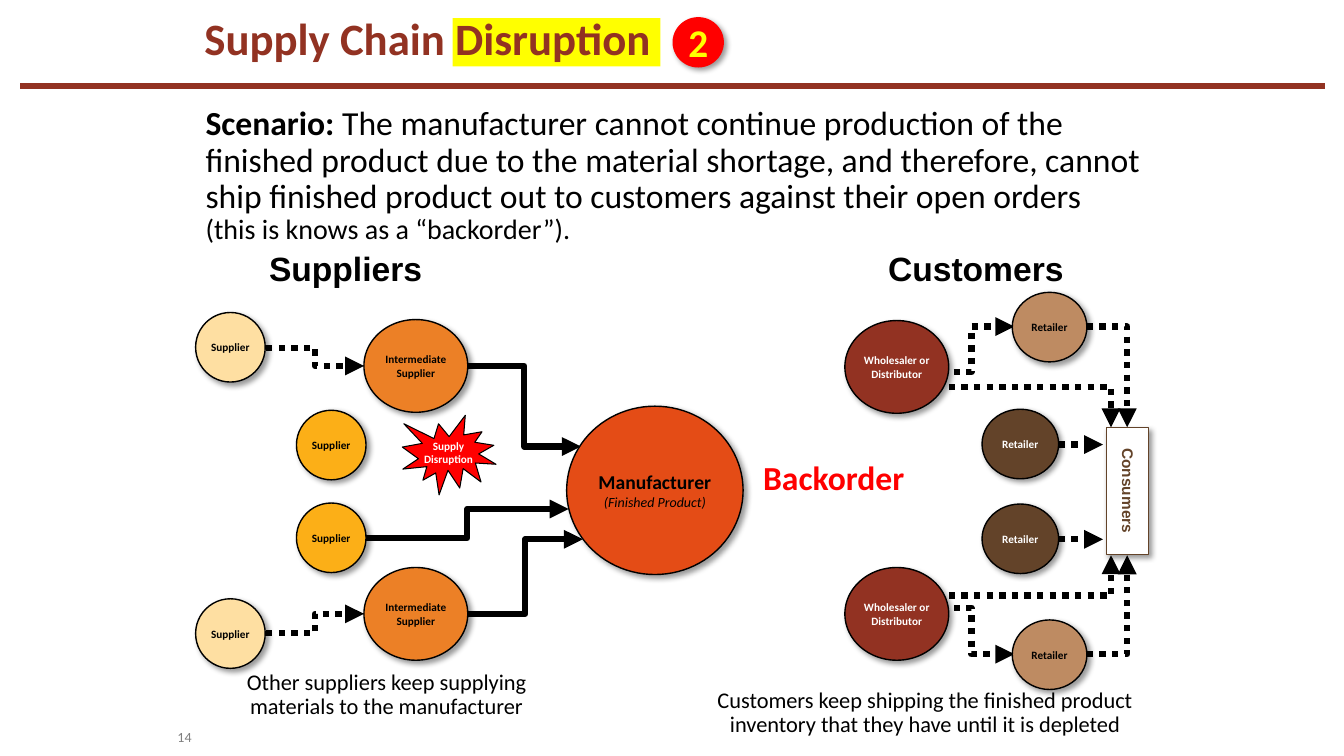
from lxml import etree
from pptx import Presentation
from pptx.dml.color import RGBColor
from pptx.enum.dml import MSO_LINE
from pptx.enum.shapes import MSO_CONNECTOR, MSO_SHAPE
from pptx.enum.text import MSO_ANCHOR, MSO_AUTO_SIZE, PP_ALIGN
from pptx.oxml.ns import qn
from pptx.util import Inches, Pt

BLACK = RGBColor(0x00, 0x00, 0x00)
WHITE = RGBColor(0xFF, 0xFF, 0xFF)
RED = RGBColor(0xFF, 0x00, 0x00)
YELLOW = RGBColor(0xFF, 0xFF, 0x00)
GREY = RGBColor(0x7F, 0x7F, 0x7F)
BRICK = RGBColor(0x92, 0x32, 0x22)
CREAM = RGBColor(0xFE, 0xDF, 0xA2)
AMBER = RGBColor(0xFC, 0xAF, 0x17)
ORANGE = RGBColor(0xEC, 0x80, 0x26)
FLAME = RGBColor(0xE4, 0x4C, 0x16)
TAN = RGBColor(0xBE, 0x8B, 0x62)
BROWN = RGBColor(0x63, 0x43, 0x29)

OVAL, RECT, BURST = MSO_SHAPE.OVAL, MSO_SHAPE.RECTANGLE, MSO_SHAPE.EXPLOSION1
STRAIGHT, ELBOW = MSO_CONNECTOR.STRAIGHT, MSO_CONNECTOR.ELBOW
DOTTED = MSO_LINE.ROUND_DOT
LEFT, CENTER = PP_ALIGN.LEFT, PP_ALIGN.CENTER
TOP, MIDDLE, BOTTOM = MSO_ANCHOR.TOP, MSO_ANCHOR.MIDDLE, MSO_ANCHOR.BOTTOM
FIT_SHAPE = MSO_AUTO_SIZE.SHAPE_TO_FIT_TEXT

COLUMNS, ROWS = 133.3, 75  # grid cells across and down the slide


def add_text(paragraph, text, size=8, color=BLACK, bold=False, italic=False,
             font="Calibri"):
    run = paragraph.add_run()
    run.text = text
    run.font.name, run.font.size = font, Pt(size)
    run.font.bold, run.font.italic = bold, italic
    run.font.color.rgb = color


class Board:
    """Draws on one slide; every length is in grid columns and rows."""

    def __init__(self, deck):
        self.slide = deck.slides.add_slide(deck.slide_layouts[6])
        self.column = deck.slide_width / COLUMNS
        self.row = deck.slide_height / ROWS

    def place(self, *lengths):
        units = (self.column, self.row) * 2
        return [round(length * unit) for length, unit in zip(lengths, units)]

    def fill_frame(self, frame, lines, align, anchor, spacing=1.0, wrap=True,
                   insets=(0, 0)):
        """Each line is a list of (text, format) pairs."""
        frame.word_wrap, frame.vertical_anchor = wrap, anchor
        frame.margin_left = frame.margin_right = Inches(insets[0])
        frame.margin_top = frame.margin_bottom = Inches(insets[1])
        for number, line in enumerate(lines):
            paragraph = frame.add_paragraph() if number else frame.paragraphs[0]
            paragraph.alignment, paragraph.line_spacing = align, spacing
            for text, style in line:
                add_text(paragraph, text, **style)

    def text(self, box, lines, align=LEFT, anchor=TOP, spacing=1.0, wrap=True,
             insets=(0.1, 0.05)):
        frame = self.slide.shapes.add_textbox(*self.place(*box)).text_frame
        self.fill_frame(frame, lines, align, anchor, spacing, wrap, insets)
        if not wrap:
            frame.auto_size = FIT_SHAPE
        return frame

    def shape(self, kind, box, fill, lines=(), outline=BLACK, width=1,
              shadow=True, **frame_style):
        shape = self.slide.shapes.add_shape(kind, *self.place(*box))
        shape.fill.solid()
        shape.fill.fore_color.rgb = fill
        if outline is None:
            shape.line.fill.background()
        else:
            shape.line.color.rgb, shape.line.width = outline, Pt(width)
        shape.shadow.inherit = False
        if shadow:
            effects = shape._element.spPr.find(qn("a:effectLst"))
            outer = etree.SubElement(effects, qn("a:outerShdw"), blurRad=str(Pt(4)),
                                     dist=str(Pt(3)), dir="2700000", rotWithShape="0")
            tint = etree.SubElement(outer, qn("a:srgbClr"), val="000000")
            etree.SubElement(tint, qn("a:alpha"), val="40000")
        self.fill_frame(shape.text_frame, lines, CENTER, MIDDLE, **frame_style)
        return shape

    def line(self, start, end, kind=STRAIGHT, color=BLACK, dotted=False,
             arrow=True, single_bend=False):
        link = self.slide.shapes.add_connector(kind, *self.place(*start, *end))
        link.line.color.rgb, link.line.width = color, Pt(4.5)
        if dotted:
            link.line.dash_style = DOTTED
        properties = link._element.spPr
        if arrow:
            etree.SubElement(properties.find(qn("a:ln")), qn("a:tailEnd"),
                             type="triangle")
        if single_bend:
            properties.find(qn("a:prstGeom")).set("prst", "bentConnector2")
        etree.SubElement(properties, qn("a:effectLst"))


def draw_header(board):
    board.line((2, 8.5), (131.4, 8.5), color=BRICK, arrow=False)
    board.shape(RECT, (44.9, 1.8, 20.6, 4.8), YELLOW, outline=None, shadow=False)
    board.text((19.3, 1.5, 95, 5.4),
               [[("Supply Chain Disruption", dict(size=32, color=BRICK, bold=True))]],
               anchor=BOTTOM, spacing=0.8)
    board.shape(OVAL, (66.7, 1.7, 5.1, 5), RED,
                [[("2", dict(size=28, color=YELLOW, bold=True))]], outline=None)


def draw_texts(board):
    scenario = board.text((19.4, 10.1, 94.9, 14.9), [[
        ("Scenario: ", dict(size=24, bold=True)),
        ("The manufacturer cannot continue production of the finished product due to "
         "the material shortage, and therefore, cannot ship finished product out to "
         "customers against their open orders", dict(size=24))]], spacing=0.9)
    scenario.paragraphs[0].add_line_break()
    add_text(scenario.paragraphs[0], "(this is knows as a “backorder”).", size=20)

    # Headings and the backorder alert
    for heading, box, font, color in (
            ("Suppliers", (25.7, 24.1, 17.3, 5), "Arial", BLACK),
            ("Customers", (87.1, 24.1, 19.6, 5), "Arial", BLACK),
            ("Backorder", (74.7, 44.8, 16.2, 5), "Calibri", RED)):
        board.text(box, [[(heading, dict(size=24, bold=True, font=font, color=color))]],
                   wrap=False)

    # Captions and page number
    for caption, box in (
            ("Other suppliers keep supplying materials to the manufacturer",
             (19.7, 66.1, 37.3, 5.9)),
            ("Customers keep shipping the finished product inventory that they have "
             "until it is depleted", (69.3, 67.9, 44.9, 5.9))):
        board.text(box, [[(caption, dict(size=16))]], align=CENTER, spacing=0.9)
    board.text((17.6, 72.2, 2.1, 1.9), [[("14", dict(size=10, color=GREY))]],
               anchor=MIDDLE, insets=(0, 0))


def draw_flows(board):
    # Supply side: start, end, dotted
    for start, end, dotted in (
            ((26.4, 34.5), (36.1, 36.3), True),
            ((26.4, 62.8), (36.1, 60.9), True),
            ((46.4, 36.3), (57.6, 44.3), False),
            ((36.3, 53.4), (56.4, 50.5), False),
            ((46.4, 60.9), (57.8, 53.5), False)):
        board.line(start, end, ELBOW, dotted=dotted)

    # Customer side: wholesaler, retailer and consumer rows, top then bottom
    for to_retailer, retailer, to_consumers, consumers in (
            (36.9, 32.4, 38.4, 42.4), (60.3, 64.9, 59.1, 55.1)):
        board.line((92.1, to_retailer), (100.6, retailer), ELBOW, dotted=True)
        for start, end in (((107.8, retailer), (111.8, consumers)),
                           ((91.6, to_consumers), (110.2, consumers))):
            board.line(start, end, ELBOW, dotted=True, single_bend=True)
    for retailer in (44.1, 53.5):
        board.line((105, retailer), (109.4, retailer), dotted=True)


def draw_partners(board):
    # Name, fill, text colour, left, tops, width, height
    for name, fill, color, left, tops, width, height in (
            ("Supplier", CREAM, BLACK, 19.4, (31, 59.4), 6.9, 6.9),
            ("Supplier", AMBER, BLACK, 29.4, (40.7, 49.9), 6.9, 6.9),
            ("Intermediate Supplier", ORANGE, BLACK, 36.1, (31.7, 56.3), 10.3, 9.2),
            ("Wholesaler or Distributor", BRICK, WHITE, 83.8, (31.8, 56.3), 10.3, 9.2),
            ("Retailer", TAN, BLACK, 100.4, (29, 61.5), 7.4, 6.9),
            ("Retailer", BROWN, WHITE, 97.4, (40.6, 50), 7.6, 6.9)):
        for top in tops:
            board.shape(OVAL, (left, top, width, height), fill,
                        [[(name, dict(color=color, bold=True))]])

    board.shape(OVAL, (56.2, 40.3, 17.5, 16.7), FLAME,
                [[("Manufacturer", dict(size=14, bold=True))],
                 [("(Finished Product)", dict(size=10, italic=True))]])
    alert = dict(color=WHITE, bold=True)
    board.shape(BURST, (39.9, 41.2, 9.3, 7.9), RED,
                [[("Supply", alert)], [("Disruption", alert)]],
                width=0.75, shadow=False, wrap=False)
    consumers = board.shape(
        RECT, (109.7, 42.4, 4.2, 12.6), WHITE,
        [[("Consumers", dict(size=11, color=BROWN, bold=True, font="Arial"))]],
        outline=BROWN, width=0.75, spacing=0.9, wrap=False, insets=(0.1, 0.05))
    consumers.text_frame._txBody.bodyPr.set("vert", "vert")


def main():
    deck = Presentation()
    deck.slide_width, deck.slide_height = Inches(13.33), Inches(7.5)
    board = Board(deck)
    draw_header(board)
    draw_texts(board)
    draw_flows(board)
    draw_partners(board)
    deck.save("out.pptx")


if __name__ == "__main__":
    main()
